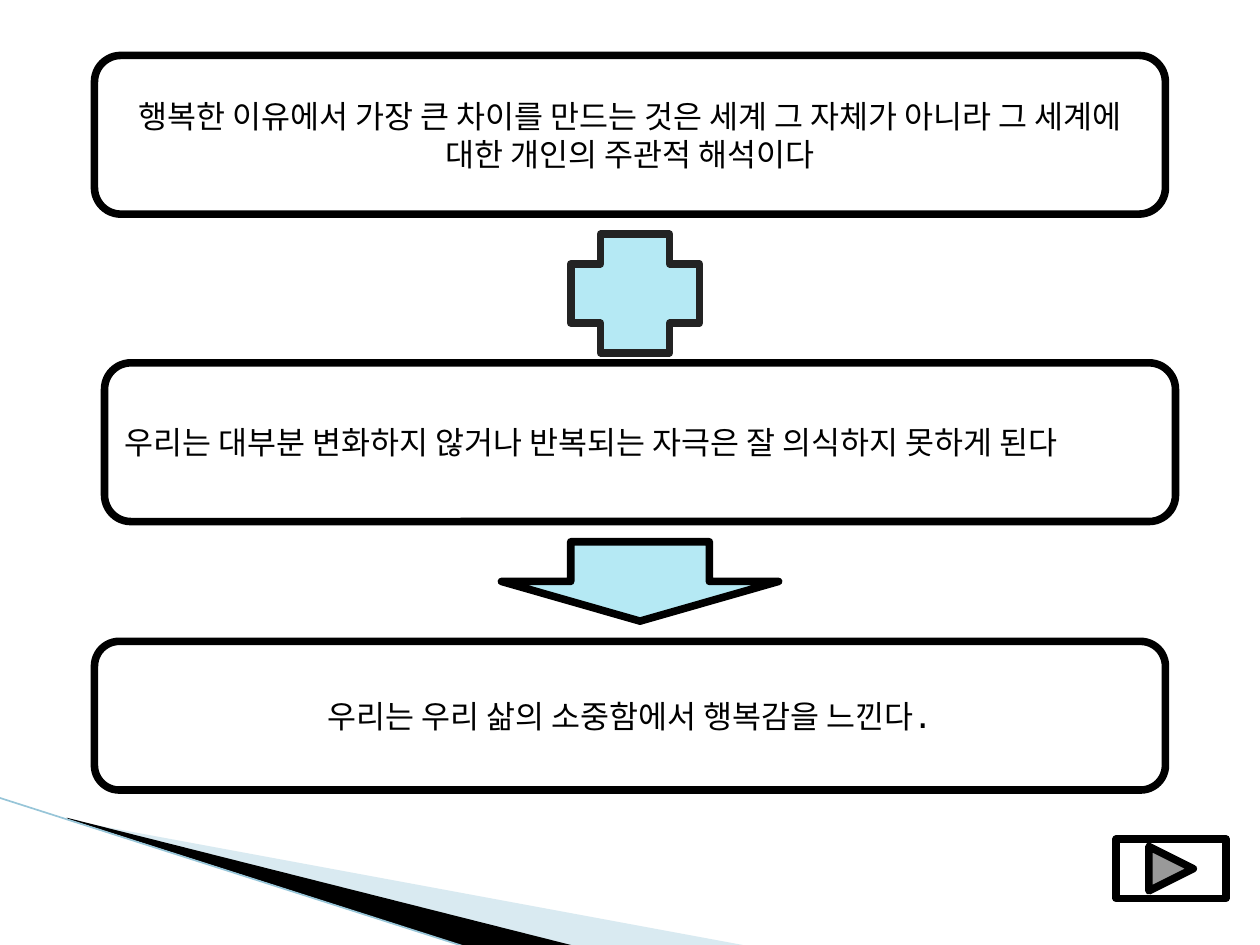
from lxml.etree import SubElement
from pptx import Presentation
from pptx.dml.color import RGBColor
from pptx.enum.shapes import MSO_CONNECTOR, MSO_SHAPE
from pptx.enum.text import MSO_ANCHOR, PP_ALIGN
from pptx.oxml.ns import qn
from pptx.util import Inches, Pt

FONT = "DejaVu Sans Mono"
BLACK = "000000"
AQUA = "B5E9F4"
LINE_WIDTH = 4.33


def color(hex_string):
    return RGBColor.from_string(hex_string)


def add_outlined(s, kind, box, fill=None, line=BLACK):
    sp = s.shapes.add_shape(kind, *map(Inches, box))
    sp.shadow.inherit = False
    if fill:
        sp.fill.solid()
        sp.fill.fore_color.rgb = color(fill)
    else:
        sp.fill.background()
    sp.line.color.rgb = color(line)
    sp.line.width = Pt(LINE_WIDTH)
    return sp


def add_statement(s, box, text, align=PP_ALIGN.CENTER):
    sp = add_outlined(s, MSO_SHAPE.ROUNDED_RECTANGLE, box)
    tf = sp.text_frame
    tf.word_wrap = True
    tf.vertical_anchor = MSO_ANCHOR.MIDDLE
    p = tf.paragraphs[0]
    p.text = text
    p.alignment = align
    p.font.size = Pt(18)
    p.font.name = FONT
    p.font.color.rgb = color(BLACK)


def add_wedge(s, points, fill, opacity=100):
    start, *rest = [(Inches(x), Inches(y)) for x, y in points]
    builder = s.shapes.build_freeform(*start, scale=1.0)
    builder.add_line_segments(rest, close=True)
    sp = builder.convert_to_shape()
    sp.shadow.inherit = False
    sp.fill.solid()
    sp.fill.fore_color.rgb = color(fill)
    sp.line.fill.background()
    if opacity < 100:
        clr = sp.fill._xPr.find(qn("a:solidFill"))[0]
        SubElement(clr, qn("a:alpha")).set("val", str(opacity * 1000))


def add_line(s, start, end, line, width):
    cn = s.shapes.add_connector(MSO_CONNECTOR.STRAIGHT, *map(Inches, start + end))
    cn.line.color.rgb = color(line)
    cn.line.width = Pt(width)
    SubElement(cn._element.spPr, qn("a:effectLst"))


def main():
    prs = Presentation()
    prs.slide_width, prs.slide_height = Inches(10), Inches(7.5)
    s = prs.slides.add_slide(prs.slide_layouts[6])

    # Corner decoration
    add_wedge(s, [(0.55, 6.51), (5.95, 7.51), (4.56, 7.51), (0.55, 6.5)], "A0CBDC", 40)
    add_wedge(s, [(0.53, 6.49), (4.57, 7.51), (3.72, 7.52), (0.54, 6.5)], BLACK)
    add_line(s, (-0.01, 6.33), (3.71, 7.52), "97C5D8", 0.95)

    # Two premises and the conclusion
    add_statement(s, (0.75, 0.44, 8.5, 1.26),
                  "행복한 이유에서 가장 큰 차이를 만드는 것은 세계 그 자체가 아니라 "
                  "그 세계에 대한 개인의 주관적 해석이다")
    add_statement(s, (0.83, 2.88, 8.5, 1.26),
                  "우리는 대부분 변화하지 않거나 반복되는 자극은 잘 의식하지 못하게 된다",
                  PP_ALIGN.LEFT)
    add_statement(s, (0.75, 5.09, 8.5, 1.18),
                  "우리는 우리 삶의 소중함에서 행복감을 느낀다.")

    # Signs between the statements
    add_outlined(s, MSO_SHAPE.DOWN_ARROW, (3.98, 4.3, 2.2, 0.63), AQUA)
    add_outlined(s, MSO_SHAPE.CROSS, (4.53, 1.86, 1.02, 0.94), AQUA, "232323")

    # Forward button
    add_outlined(s, MSO_SHAPE.ACTION_BUTTON_FORWARD_OR_NEXT,
                 (8.86, 6.66, 0.87, 0.47), "FFFFFF")

    prs.save("out.pptx")


if __name__ == "__main__":
    main()
